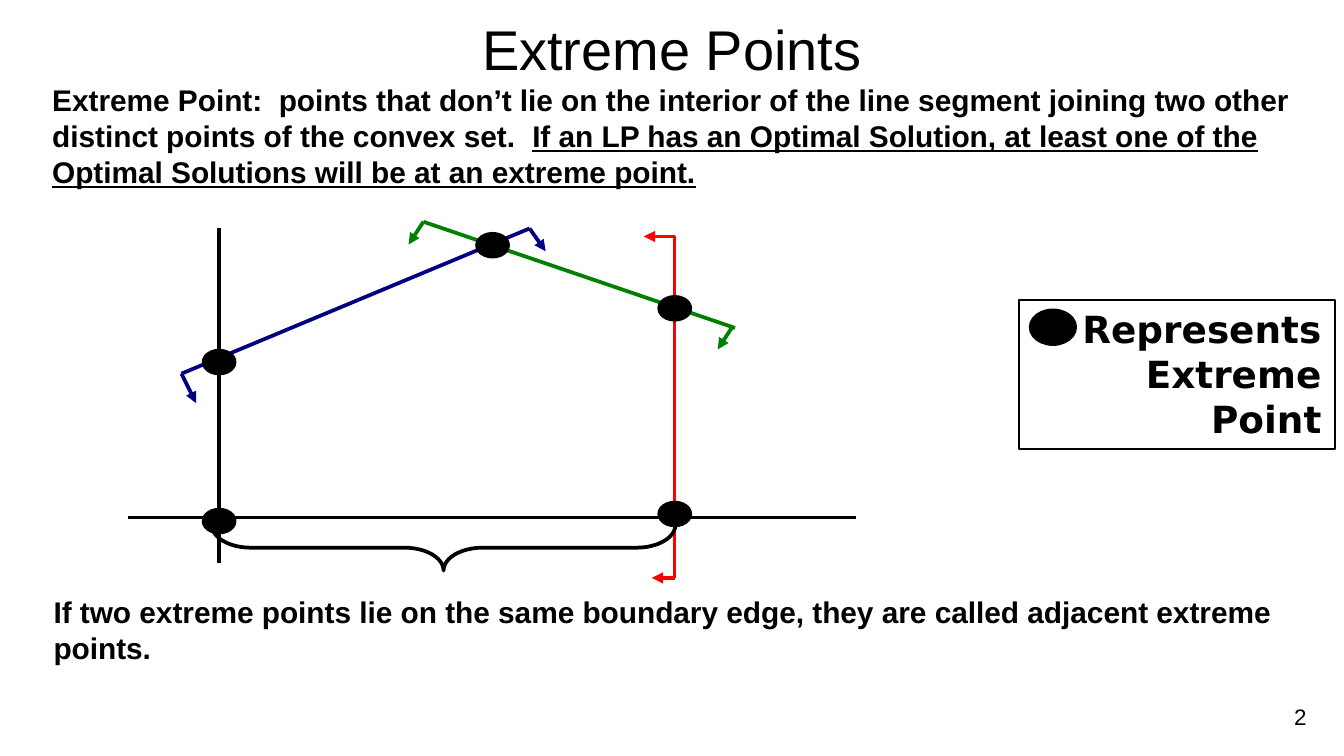
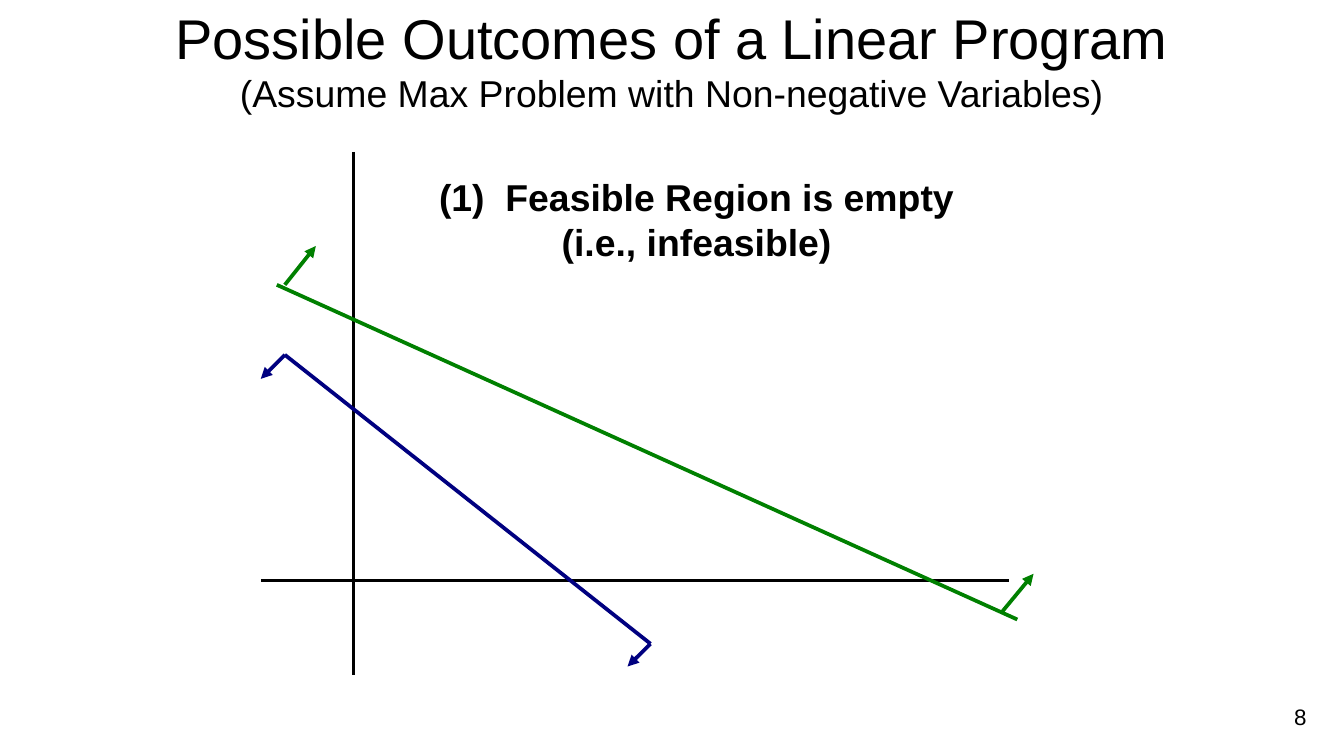
from dataclasses import dataclass
from typing import NamedTuple

from lxml.etree import SubElement
from pptx import Presentation
from pptx.dml.color import RGBColor
from pptx.enum.shapes import MSO_CONNECTOR, MSO_SHAPE
from pptx.enum.text import MSO_ANCHOR, MSO_AUTO_SIZE, PP_ALIGN
from pptx.oxml.ns import qn
from pptx.util import Pt

# Shared look
BLACK, WHITE, NAVY, GREEN, RED = "000000", "FFFFFF", "000080", "008000", "FF0000"
TITLE = {"name": "Arial", "size": Pt(30)}
SUBTITLE = {"name": "Arial", "size": Pt(20)}
NUMBER = {"name": "Arial", "size": Pt(12)}
BODY = {"name": "Arial", "size": Pt(16), "bold": True}
UNDERLINED = BODY | {"underline": True}
HEADING = {"name": "Arial", "size": Pt(20), "bold": True}
LEGEND = {"name": "DejaVu Sans", "size": Pt(20), "bold": True}
FIXED = {"vertical_anchor": MSO_ANCHOR.MIDDLE, "auto_size": MSO_AUTO_SIZE.NONE}
GROWING = {"vertical_anchor": MSO_ANCHOR.TOP, "auto_size": MSO_AUTO_SIZE.SHAPE_TO_FIT_TEXT}
DOT_WIDTH, DOT_HEIGHT = 16.6, 12.2


class Point(NamedTuple):
    x: float
    y: float


class Frame(NamedTuple):
    left: float
    top: float
    width: float
    height: float


class Span(NamedTuple):
    text: str
    style: dict


@dataclass
class Constraint:
    """A boundary line with arrows pointing to its feasible side."""
    colour: str
    start: Point
    end: Point
    arrows: list[tuple[Point, Point]]


def rgb(colour: str) -> RGBColor:
    return RGBColor.from_string(colour)


def write(box, spans: list[Span], align: PP_ALIGN, layout: dict) -> None:
    frame = box.text_frame
    frame.word_wrap = True
    for name, value in layout.items():
        setattr(frame, name, value)
    para = frame.paragraphs[0]
    para.alignment = align
    for span in spans:
        for index, line in enumerate(span.text.split("\n")):
            if index:
                para.add_line_break()
            if not line:
                continue
            run = para.add_run()
            run.text = line
            run.font.color.rgb = rgb(BLACK)
            for name, value in span.style.items():
                setattr(run.font, name, value)


def add_text(page, frame: Frame, spans: list[Span],
             align: PP_ALIGN = PP_ALIGN.LEFT, layout: dict = GROWING) -> None:
    box = page.shapes.add_textbox(*map(Pt, frame))
    write(box, spans, align, layout)


def add_figure(page, kind: MSO_SHAPE, frame: Frame, fill: str | None = BLACK, weight: float = 2):
    shape = page.shapes.add_shape(kind, *map(Pt, frame))
    shape.shadow.inherit = False
    if fill:
        shape.fill.solid()
        shape.fill.fore_color.rgb = rgb(fill)
    else:
        shape.fill.background()
    shape.line.color.rgb = rgb(BLACK)
    shape.line.width = Pt(weight)
    return shape


def add_line(page, start: Point, end: Point, colour: str = BLACK, arrow: bool = False) -> None:
    line = page.shapes.add_connector(MSO_CONNECTOR.STRAIGHT, *map(Pt, (*start, *end)))
    line.line.color.rgb = rgb(colour)
    line.line.width = Pt(2)
    properties = line._element.spPr
    if arrow:
        SubElement(properties.find(qn("a:ln")), qn("a:tailEnd"), type="triangle")
    SubElement(properties, qn("a:effectLst"))


def add_constraint(page, constraint: Constraint) -> None:
    add_line(page, constraint.start, constraint.end, constraint.colour)
    for start, end in constraint.arrows:
        add_line(page, start, end, constraint.colour, arrow=True)


def add_axes(page, x: float, top: float, bottom: float,
             y: float, left: float, right: float) -> None:
    add_line(page, Point(x, top), Point(x, bottom))
    add_line(page, Point(left, y), Point(right, y))


def add_page(deck, title: list[Span], title_height: float, number: str):
    page = deck.slides.add_slide(deck.slide_layouts[6])
    add_text(page, Frame(36, 4.3, 648, title_height), title, PP_ALIGN.CENTER, FIXED)
    add_text(page, Frame(539.3, 373, 167.8, 21.6), [Span(number, NUMBER)], PP_ALIGN.RIGHT, FIXED)
    return page


def build_extreme_points(deck) -> None:
    page = add_page(deck, [Span("Extreme Points", TITLE)], 42.5, "2")

    # Legend
    legend = add_figure(page, MSO_SHAPE.RECTANGLE, Frame(545.8, 160.6, 169.2, 79.9), WHITE, 1)
    write(legend, [Span("Represents\nExtreme\nPoint", LEGEND)], PP_ALIGN.RIGHT, GROWING)
    add_figure(page, MSO_SHAPE.OVAL, Frame(552.2, 166.3, 23.8, 18))

    # Definitions
    add_text(page, Frame(20.9, 40.3, 678.2, 65.5), [
        Span("Extreme Point:  points that don’t lie on the interior of the line segment "
             "joining two other distinct points of the convex set.  ", BODY),
        Span("If an LP has an Optimal Solution, at least one of the Optimal Solutions "
             "will be at an extreme point.", UNDERLINED),
    ])
    add_text(page, Frame(21.6, 314.6, 678.2, 46.1), [
        Span("If two extreme points lie on the same boundary edge, they are called "
             "adjacent extreme points.", BODY),
    ])

    # Feasible region
    add_axes(page, 117.4, 122.4, 301.7, 277.2, 68.4, 458.6)
    blue_start, blue_end = Point(97.2, 200.2), Point(283.7, 122.4)
    green_start, green_end = Point(226.8, 118.8), Point(393.8, 175.7)
    red_start, red_end = Point(361.4, 126.7), Point(361.4, 309.6)
    for constraint in (
        Constraint(NAVY, blue_start, blue_end,
                   [(blue_start, Point(105.1, 216)), (blue_end, Point(292.3, 134.6))]),
        Constraint(GREEN, green_start, green_end,
                   [(green_start, Point(218.9, 131)), (Point(392.4, 175), Point(384.5, 187.2))]),
        Constraint(RED, red_start, red_end,
                   [(red_start, Point(344.9, 126.7)), (red_end, Point(349.2, 309.6))]),
    ):
        add_constraint(page, constraint)

    # Extreme points, by centre
    for x, y in ((263.9, 131.4), (361.5, 165.2), (361.5, 275.4), (117.4, 279.2), (117.4, 194)):
        add_figure(page, MSO_SHAPE.OVAL,
                   Frame(x - DOT_WIDTH / 2, y - DOT_HEIGHT / 2, DOT_WIDTH, DOT_HEIGHT))

    # Brace under the shared edge
    brace = add_figure(page, MSO_SHAPE.LEFT_BRACE, Frame(225.4, 169.2, 24.5, 248.4), None)
    brace.rotation = 270
    brace.adjustments[0] = 0.85
    brace.adjustments[1] = 0.5


def build_outcomes(deck) -> None:
    page = add_page(deck, [
        Span("Possible Outcomes of a Linear Program\n", TITLE),
        Span("(Assume Max Problem with Non-negative Variables)", SUBTITLE),
    ], 54.7, "8")
    add_text(page, Frame(123.8, 90, 499, 55.4),
             [Span("(1)  Feasible Region is empty\n(i.e., infeasible)", HEADING)],
             PP_ALIGN.CENTER)

    # Constraints with no common region
    add_axes(page, 189.4, 81.4, 361.4, 311, 139.7, 540.7)
    blue_start, blue_end = Point(152.6, 190.1), Point(348.5, 344.9)
    for constraint in (
        Constraint(NAVY, blue_start, blue_end,
                   [(blue_start, Point(139.7, 203)), (blue_end, Point(336.2, 357.1))]),
        Constraint(GREEN, Point(148.3, 152.6), Point(545, 331.9),
                   [(Point(152.6, 152.6), Point(169.2, 131.8)),
                    (Point(536.4, 328.3), Point(553.7, 307.4))]),
    ):
        add_constraint(page, constraint)


def main() -> None:
    deck = Presentation()
    deck.slide_width, deck.slide_height = Pt(720), Pt(405)
    build_extreme_points(deck)
    build_outcomes(deck)
    deck.save("out.pptx")


if __name__ == "__main__":
    main()
